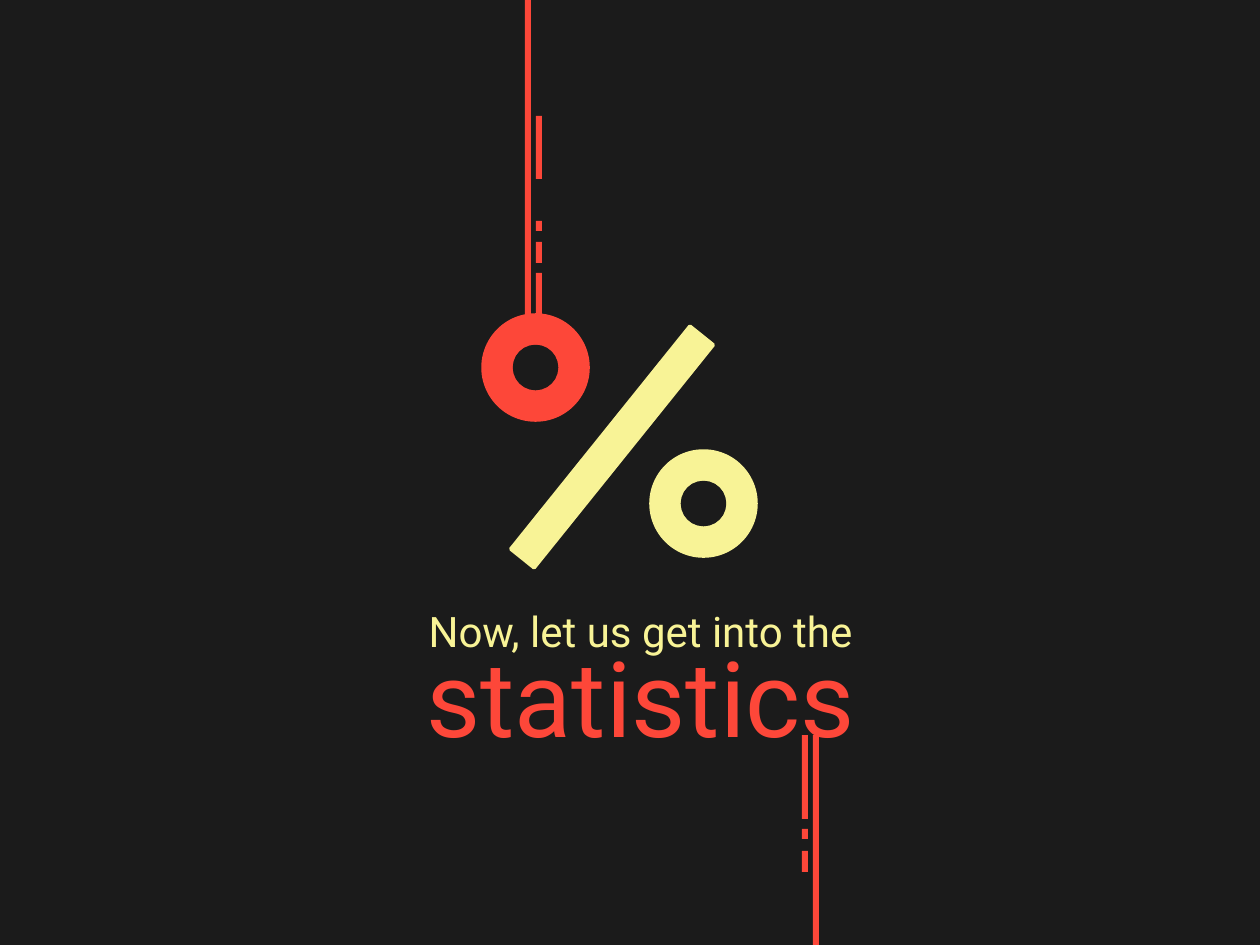
from pptx import Presentation
from pptx.dml.color import RGBColor
from pptx.enum.shapes import MSO_SHAPE
from pptx.enum.text import MSO_ANCHOR, MSO_AUTO_SIZE, PP_ALIGN
from pptx.util import Pt

RECTANGLE, OVAL = MSO_SHAPE.RECTANGLE, MSO_SHAPE.OVAL
CENTER, TOP = PP_ALIGN.CENTER, MSO_ANCHOR.TOP
GROW = MSO_AUTO_SIZE.SHAPE_TO_FIT_TEXT

SCALE = 914400 / 126
WIDTH, HEIGHT = 1260, 945
COLORS = {"dark": "1B1B1B", "yellow": "F8F396", "red": "FD4739"}
FONT = "Roboto"

LEAD = ("Now, let us get into the", (315, 599, 651, 63), 24, "yellow")
TITLE = ("statistics", (315, 626, 651, 140), 60, "red")
SLASH = (597, 304, 30, 286)
SLASH_ANGLE = 38.8
RINGS = [(651, 451, "yellow"), (483, 315, "red")]
RING_SIZE, HOLE_SIZE = 105, 42
OUTLINE = 2
STREAK_WIDTH = 6
STREAKS = {
    525: [(0, 338)],
    536: [(116, 63), (221, 10), (242, 21), (273, 63)],
    802: [(735, 84), (829, 10), (851, 21)],
    813: [(735, HEIGHT - 735)],
}


def emu(pixels):
    return round(pixels * SCALE)


def color(name):
    return RGBColor.from_string(COLORS[name])


def add_filled(slide, kind, box, name, outline=0):
    shape = slide.shapes.add_shape(kind, *map(emu, box))
    shape.shadow.inherit = False
    shape.fill.solid()
    shape.fill.fore_color.rgb = color(name)
    if outline:
        shape.line.color.rgb = color(name)
        shape.line.width = Pt(outline)
    else:
        shape.line.fill.background()
    return shape


def write_line(shape, text, box, size, name):
    shape.left, shape.top, shape.width, shape.height = map(emu, box)
    frame = shape.text_frame
    frame.text = text
    frame.word_wrap = True
    frame.auto_size = GROW
    frame.vertical_anchor = TOP
    paragraph = frame.paragraphs[0]
    paragraph.alignment = CENTER
    paragraph.space_after = Pt(6)
    font = paragraph.runs[0].font
    font.name = FONT
    font.size = Pt(size)
    font.color.rgb = color(name)


presentation = Presentation()
presentation.slide_width, presentation.slide_height = emu(WIDTH), emu(HEIGHT)
slide = presentation.slides.add_slide(presentation.slide_layouts[5])
slide.background.fill.solid()
slide.background.fill.fore_color.rgb = color("dark")

add_filled(slide, RECTANGLE, SLASH, "yellow", OUTLINE).rotation = SLASH_ANGLE

inset = (RING_SIZE - HOLE_SIZE) / 2
for left, top, name in RINGS:
    add_filled(slide, OVAL, (left, top, RING_SIZE, RING_SIZE), name, OUTLINE)
    hole = (left + inset, top + inset, HOLE_SIZE, HOLE_SIZE)
    add_filled(slide, OVAL, hole, "dark", OUTLINE)

write_line(slide.shapes.add_textbox(0, 0, 0, 0), *LEAD)
write_line(slide.shapes.title, *TITLE)

for left, streaks in STREAKS.items():
    for top, height in streaks:
        add_filled(slide, RECTANGLE, (left, top, STREAK_WIDTH, height), "red")

presentation.save("out.pptx")
